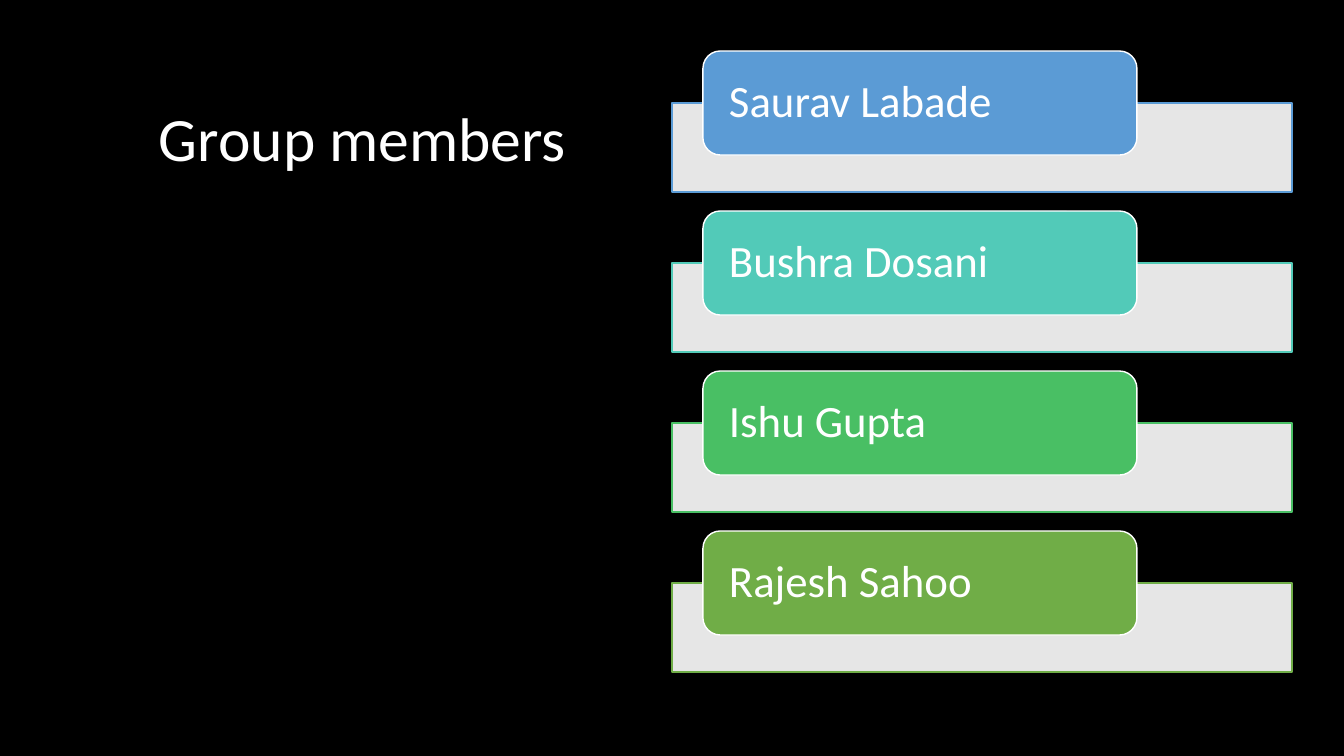
from lxml import etree
from pptx import Presentation
from pptx.dml.color import RGBColor
from pptx.enum.shapes import MSO_SHAPE
from pptx.enum.text import MSO_ANCHOR, PP_ALIGN
from pptx.oxml.ns import qn
from pptx.util import Emu, Pt

RECTANGLE = MSO_SHAPE.RECTANGLE
ROUNDED = MSO_SHAPE.ROUNDED_RECTANGLE
TOP, MIDDLE = MSO_ANCHOR.TOP, MSO_ANCHOR.MIDDLE
LEFT = PP_ALIGN.LEFT

BLACK = RGBColor(0x00, 0x00, 0x00)
WHITE = RGBColor(0xFF, 0xFF, 0xFF)
BLUE = RGBColor(0x5B, 0x9B, 0xD5)
TEAL = RGBColor(0x52, 0xCA, 0xB8)
GREEN = RGBColor(0x49, 0xBF, 0x64)
OLIVE = RGBColor(0x70, 0xAD, 0x47)

PX = 914400 / 100.8
ROW_PITCH = 160
MEMBERS = [
    ("Saurav Labade", BLUE),
    ("Bushra Dosani", TEAL),
    ("Ishu Gupta", GREEN),
    ("Rajesh Sahoo", OLIVE),
]

deck = Presentation()
deck.slide_width = Emu(round(1344 * PX))
deck.slide_height = Emu(round(756 * PX))
page = deck.slides.add_slide(deck.slide_layouts[6])
page.background.fill.solid()
page.background.fill.fore_color.rgb = BLACK


def add_panel(preset, bounds, fill_color, line_color):
    panel = page.shapes.add_shape(preset, *[Emu(round(side * PX)) for side in bounds])
    panel.shadow.inherit = False
    panel.fill.solid()
    panel.fill.fore_color.rgb = fill_color
    panel.line.color.rgb = line_color
    panel.line.width = Pt(1)
    return panel


def write_text(box, words, size, anchor, side_inset, edge_inset):
    frame = box.text_frame
    frame.word_wrap = True
    frame.vertical_anchor = anchor
    frame.margin_left = frame.margin_right = Emu(round(side_inset * PX))
    frame.margin_top = frame.margin_bottom = Emu(round(edge_inset * PX))
    para = frame.paragraphs[0]
    para.alignment = LEFT
    para.line_spacing = 0.9
    span = para.add_run()
    span.text = words
    span.font.name = "Calibri"
    span.font.size = Pt(size)
    span.font.color.rgb = WHITE


title = page.shapes.add_textbox(*[Emu(round(side * PX)) for side in (149, 103, 506, 503)])
write_text(title, "Group members", 44, TOP, 10, 5)

for row, (member, color) in enumerate(MEMBERS):
    offset = row * ROW_PITCH
    bar = add_panel(RECTANGLE, (672, 103 + offset, 620, 89), WHITE, color)
    tint = bar.fill._xPr.find(qn("a:solidFill"))[0]
    etree.SubElement(tint, qn("a:alpha")).set("val", "90000")
    label = add_panel(ROUNDED, (703, 51 + offset, 434, 104), color, WHITE)
    write_text(label, member, 32, MIDDLE, 21, 0)

deck.save("out.pptx")
